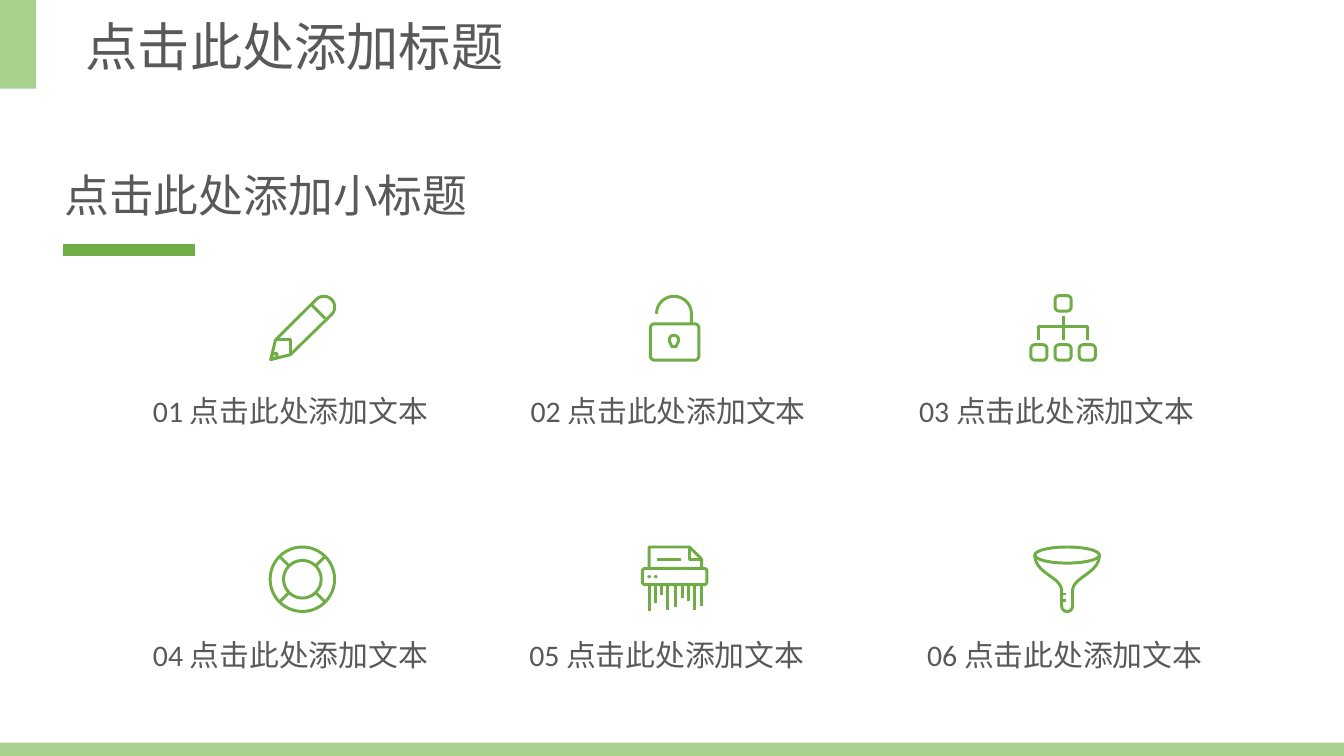
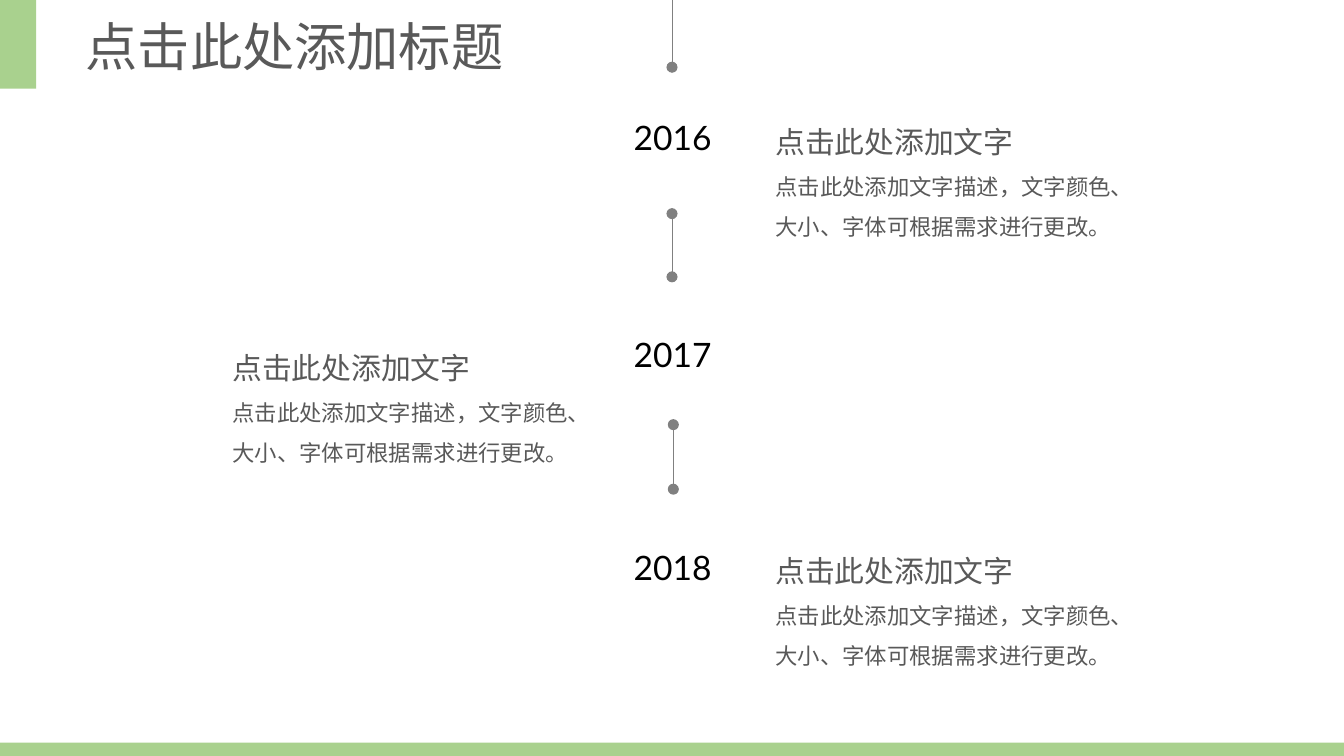
import math
from dataclasses import dataclass

import pptx
import pptx.dml.color
import pptx.enum.shapes
import pptx.enum.text
import pptx.oxml.ns
import pptx.util
from lxml import etree

Inches = pptx.util.Inches
Pt = pptx.util.Pt

SLIDE_W = 10
SLIDE_H = SLIDE_W * 9 / 16


@dataclass(frozen=True)
class Theme:
    band: str = "A9D18E"
    accent: str = "70AD47"
    text: str = "595959"
    year: str = "000000"
    line: str = "808080"
    title_font: str = "Noto Sans CJK SC"
    subtitle_font: str = "Arial"
    body_font: str = "Calibri"
    year_font: str = "Lato"
    title_size: float = 28
    subtitle_size: float = 24
    year_size: float = 18
    label_size: float = 16
    body_size: float = 12
    icon_stroke: float = 1.6


def rgb(value):
    return pptx.dml.color.RGBColor.from_string(value)


# Icon outlines are measured in hundredths of an inch from the icon's top left.
# Each contour is a pair: its points, and whether it is closed.

def arc(cx, cy, rx, ry, start, end, steps=24):
    """Points along an ellipse, with angles in degrees, clockwise from the right."""
    angles = [math.radians(start + (end - start) * i / steps) for i in range(steps + 1)]
    return [(cx + rx * math.cos(a), cy + ry * math.sin(a)) for a in angles]


def ellipse(cx, cy, rx, ry):
    return arc(cx, cy, rx, ry, 0, 360, 48)[:-1], True


def rounded(x, y, w, h, r):
    corners = [(x + w - r, y + h - r), (x + r, y + h - r), (x + r, y + r), (x + w - r, y + r)]
    return [pt for i, (cx, cy) in enumerate(corners)
            for pt in arc(cx, cy, r, r, 90 * i, 90 * i + 90, 6)], True


def bezier(a, b, c, d, steps=20):
    points = []
    for i in range(steps + 1):
        t = i / steps
        weights = ((1 - t) ** 3, 3 * t * (1 - t) ** 2, 3 * t * t * (1 - t), t ** 3)
        points.append(tuple(sum(w * pt[k] for w, pt in zip(weights, (a, b, c, d)))
                            for k in (0, 1)))
    return points


def stroke(*points):
    return list(points), False


def pencil():
    return [
        ([(1.5, 48.5), (5, 34)] + arc(41, 9.5, 8, 8, 225, 405) + [(16, 45)], True),
        stroke((32, 8), (42, 18)),
        stroke((5, 34), (16, 34), (16, 45)),
        ([(1.5, 48.5), (3, 44), (6, 44), (6, 47)], True),
    ]


def padlock():
    return [
        rounded(1, 22, 36, 27, 3),
        (arc(18.5, 14.5, 13, 13, 180, 360) + [(31.5, 22)], False),
        (arc(18.5, 34, 3.5, 3.5, 145, 395) + [(20, 39), (17, 39)], True),
    ]


def hierarchy():
    boxes = [(19, 1), (1, 37.5), (19, 37.5), (37, 37.5)]
    return [rounded(x, y, 12, 11.5, 3) for x, y in boxes] + [
        stroke((7, 34), (7, 24), (43, 24), (43, 34)),
        stroke((25, 16), (25, 34)),
    ]


def lifebuoy():
    inner, outer = (arc(25, 25, r, r, 45, 405, 4)[:-1] for r in (14, 24))
    return [ellipse(25, 25, r, r) for r in (14, 24)] + [
        stroke(a, b) for a, b in zip(inner, outer)]


def shredder():
    strips = zip((6, 10.5, 15, 20, 25.5, 31, 35.5, 40, 45),
                 (49, 43, 37, 48, 46, 39, 41, 48, 45))
    return [
        rounded(1, 17, 48, 12, 2),
        stroke((6, 17), (6, 1), (36, 1), (45, 10), (45, 17)),
        stroke((36, 1), (36, 10), (45, 10)),
        stroke((12, 10.5), (30, 10.5)),
        ellipse(6, 23, 0.2, 0.2),
        ellipse(11, 23, 0.2, 0.2),
    ] + [stroke((x, 29), (x, end)) for x, end in strips]


def funnel():
    left = bezier((1, 7), (1, 21), (21, 23), (21, 34))
    right = [(50 - x, y) for x, y in reversed(left)]
    spout = arc(25, 45, 4, 4, 180, 0)
    return [
        ellipse(25, 7, 24, 6),
        (left + spout + right, False),
        stroke((21, 36), (24, 36)),
        stroke((21, 40.5), (24, 40.5)),
    ]


class Deck:
    """Holds the theme, the presentation and the slide being built."""

    def __init__(self, theme):
        self.theme = theme
        self.prs = pptx.Presentation()
        self.prs.slide_width, self.prs.slide_height = Inches(SLIDE_W), Inches(SLIDE_H)
        self.s = None

    def slide(self, title):
        t = self.theme
        self.s = self.prs.slides.add_slide(self.prs.slide_layouts[6])
        self.band(0, 0, 0.27, 0.66)
        self.band(0, SLIDE_H - 0.1, SLIDE_W, 0.1)
        self.text(0.54, 0.06, 4.71, 0.57, [(title, t.title_size)], t.title_font)

    def band(self, x, y, w, h):
        sp = self.s.shapes.add_shape(pptx.enum.shapes.MSO_SHAPE.RECTANGLE,
                                     Inches(x), Inches(y), Inches(w), Inches(h))
        sp.shadow.inherit = False
        sp.fill.solid()
        sp.fill.fore_color.rgb = rgb(self.theme.band)
        sp.line.fill.background()

    def text(self, x, y, w, h, lines, font=None, color=None, spacing=None,
             align=None, flush=False):
        """Adds a text box; lines holds a (text, size) pair for each paragraph."""
        sp = self.s.shapes.add_textbox(Inches(x), Inches(y), Inches(w), Inches(h))
        tf = sp.text_frame
        tf.word_wrap = True
        tf.auto_size = pptx.enum.text.MSO_AUTO_SIZE.SHAPE_TO_FIT_TEXT
        if flush:
            tf.margin_left = tf.margin_top = tf.margin_right = tf.margin_bottom = 0
        tf.text = "\n".join(text for text, _ in lines)
        for p, (_, size) in zip(tf.paragraphs, lines):
            p.alignment = align
            p.line_spacing = spacing
            for r in p.runs:
                r.font.name = font or self.theme.body_font
                r.font.size = Pt(size)
                r.font.color.rgb = rgb(color or self.theme.text)

    def line(self, x1, y1, x2, y2, color, width, dots=False):
        cn = self.s.shapes.add_connector(pptx.enum.shapes.MSO_CONNECTOR.STRAIGHT,
                                         Inches(x1), Inches(y1), Inches(x2), Inches(y2))
        cn.line.color.rgb = rgb(color)
        cn.line.width = Pt(width)
        qn = pptx.oxml.ns.qn
        sp_pr = cn._element.spPr
        if dots:
            for end in ("a:headEnd", "a:tailEnd"):
                etree.SubElement(sp_pr.find(qn("a:ln")), qn(end), type="oval")
        etree.SubElement(sp_pr, qn("a:effectLst"))

    def icon(self, x, y, contours):
        """Strokes all contours of an icon as one freeform."""
        def place(points):
            return [(Inches(x + px / 100), Inches(y + py / 100)) for px, py in points]

        builder = None
        for points, closed in contours:
            first, *rest = place(points)
            if builder is None:
                builder = self.s.shapes.build_freeform(*first, scale=1.0)
            else:
                builder.move_to(*first)
            builder.add_line_segments(rest, close=closed)
        sp = builder.convert_to_shape()
        sp.shadow.inherit = False
        sp.fill.background()
        sp.line.color.rgb = rgb(self.theme.accent)
        sp.line.width = Pt(self.theme.icon_stroke)

    def year(self, y, year):
        t = self.theme
        self.text(4.34, y, 1.33, 0.25, [(year, t.year_size)], t.year_font, t.year,
                  0.8, pptx.enum.text.PP_ALIGN.CENTER, flush=True)


def icon_slide(deck):
    t = deck.theme
    deck.slide("点击此处添加标题")
    deck.text(0.38, 1.2, 3.39, 0.5, [("点击此处添加小标题", t.subtitle_size)],
              t.subtitle_font)
    deck.line(0.47, 1.86, 1.45, 1.86, t.accent, 6)
    # icon outline, icon left, label left, label width
    items = [
        (pencil, 2, 1.04, 2.4), (padlock, 4.83, 3.85, 2.39), (hierarchy, 7.66, 6.74, 2.48),
        (lifebuoy, 2, 1.04, 2.4), (shredder, 4.77, 3.84, 2.4), (funnel, 7.69, 6.8, 2.41),
    ]
    rows = [(2.19, 2.87), (4.06, 4.69)]
    for i, (outline, icon_x, label_x, label_w) in enumerate(items):
        icon_y, label_y = rows[i // 3]
        deck.icon(icon_x, icon_y, outline())
        deck.text(label_x, label_y, label_w, 0.37,
                  [(f"{i + 1:02d} 点击此处添加文本", t.label_size)])


def timeline_slide(deck):
    t = deck.theme
    deck.slide("点击此处添加标题")
    for x, top, bottom in [(5, -0.27, 0.5), (5, 1.59, 2.06), (5.01, 3.16, 3.64)]:
        deck.line(x, top, x, bottom, t.line, 0.5, dots=True)
    entry = [("点击此处添加文字", t.label_size),
             ("点击此处添加文字描述，文字颜色、大小、字体可根据需求进行更改。", t.body_size)]
    for year, year_y, x, y in [("2016", 0.93, 5.67, 0.74),
                               ("2017", 2.54, 1.63, 2.42),
                               ("2018", 4.13, 5.67, 3.93)]:
        deck.year(year_y, year)
        deck.text(x, y, 2.95, 1.08, entry, spacing=1.5)


def main():
    deck = Deck(Theme())
    icon_slide(deck)
    timeline_slide(deck)
    deck.prs.save("out.pptx")


if __name__ == "__main__":
    main()
